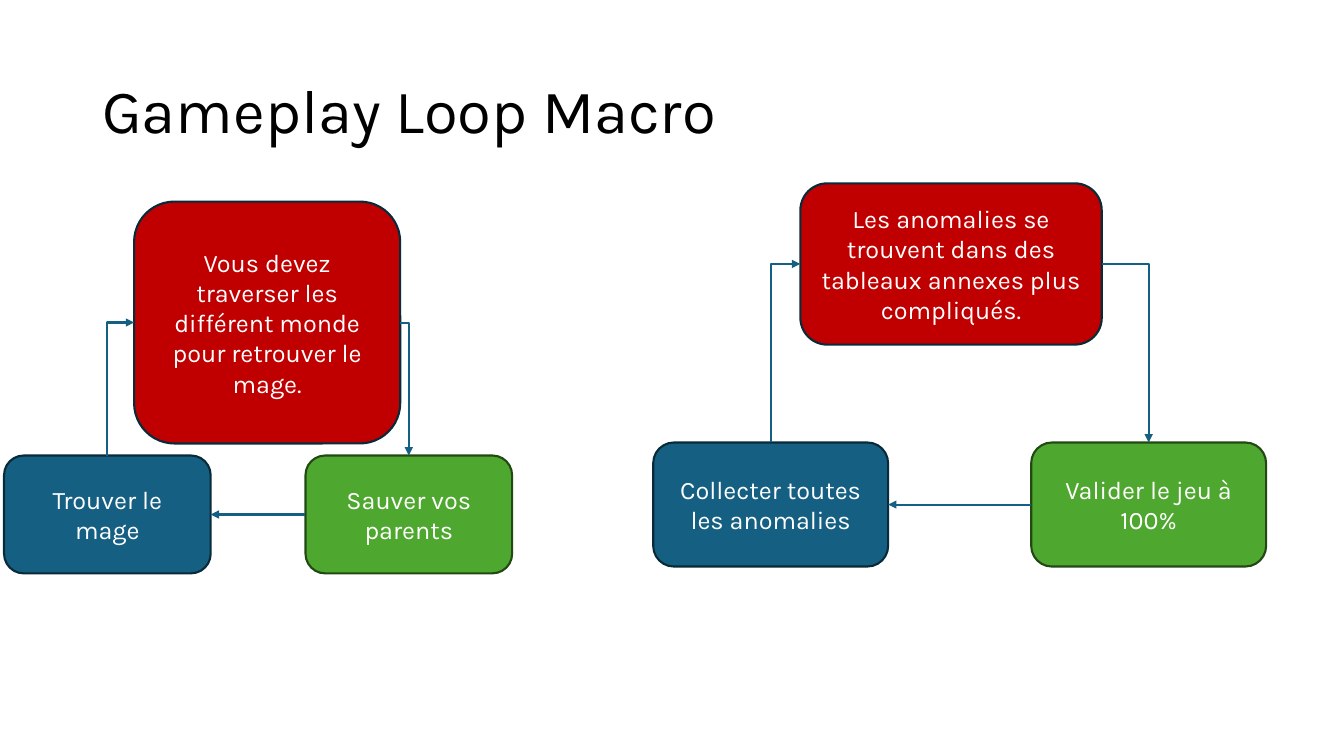
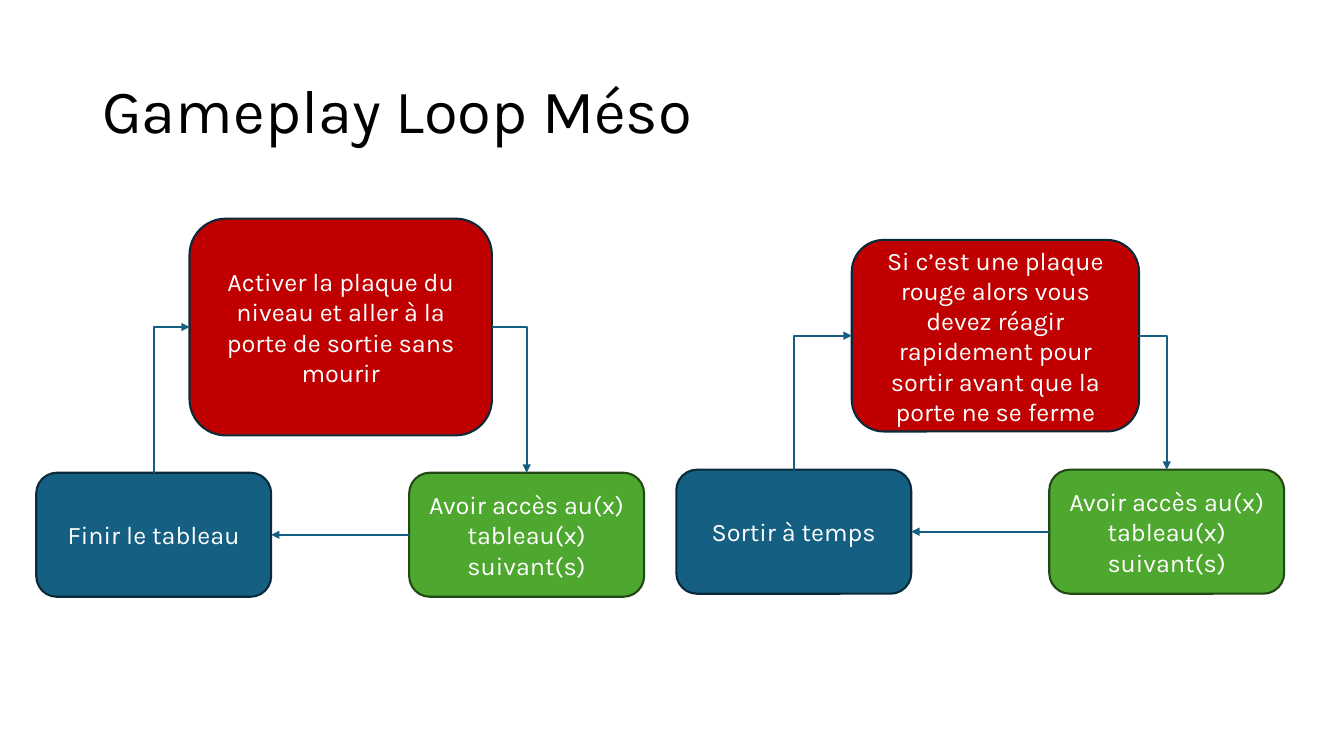
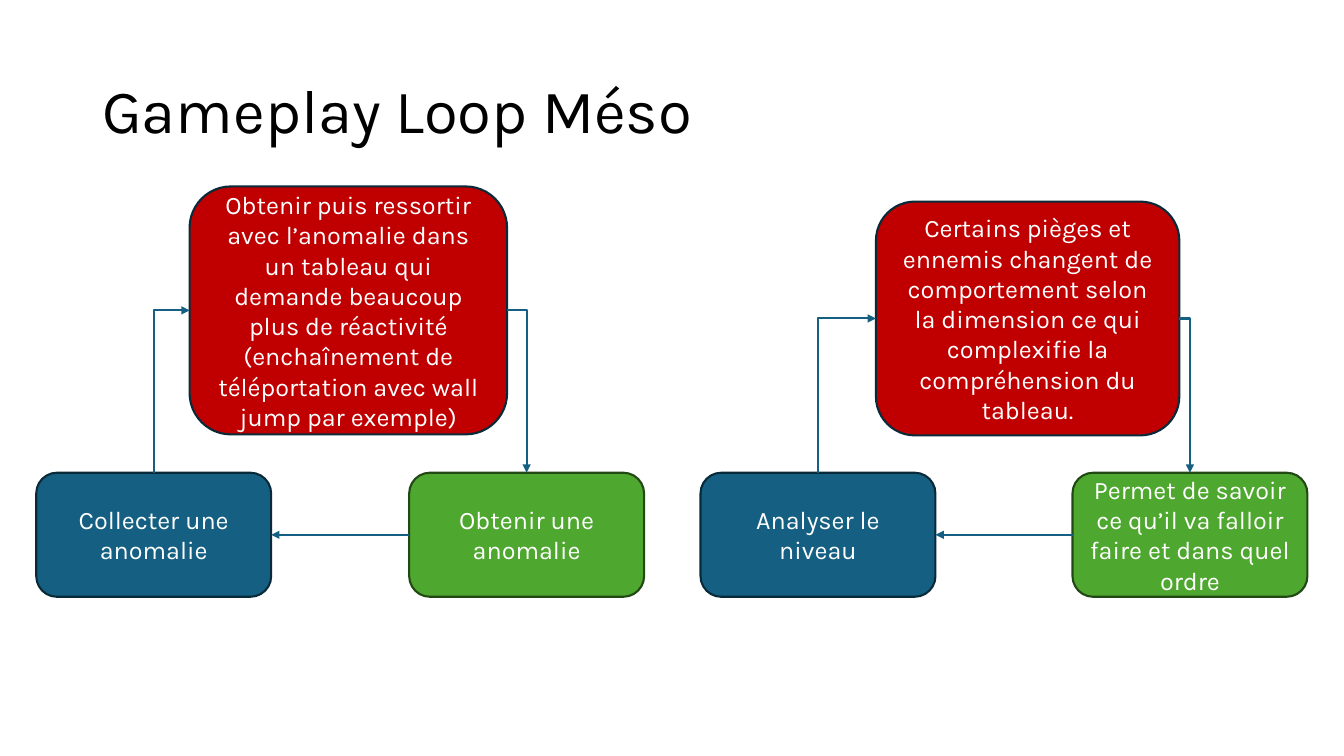
"""Build three slides of gameplay loops, each with two three-step cycles."""
from lxml import etree
from pptx import Presentation
from pptx.dml.color import RGBColor
from pptx.enum.shapes import MSO_CONNECTOR, MSO_SHAPE
from pptx.enum.text import MSO_ANCHOR, PP_ALIGN
from pptx.oxml.ns import qn
from pptx.util import Pt

ROUNDED = MSO_SHAPE.ROUNDED_RECTANGLE
STRAIGHT, ELBOW = MSO_CONNECTOR.STRAIGHT, MSO_CONNECTOR.ELBOW
MIDDLE = MSO_ANCHOR.MIDDLE
LEFT, CENTER = PP_ALIGN.LEFT, PP_ALIGN.CENTER
TOP_SITE, LEFT_SITE, RIGHT_SITE = 0, 1, 3
FONT = "Karla"
COLORS = {
    "blue": "156082", "red": "C00000", "green": "4EA72E",
    "dark_blue": "092A39", "dark_green": "224914",
    "black": "000000", "white": "FFFFFF",
}
OUTLINES = {"blue": "dark_blue", "red": "dark_blue", "green": "dark_green"}
SMALL_STEP = (147.6, 84.2)
STEP = (167.8, 88.6)

SLIDES = [
    ("Gameplay Loop Macro", [
        {"blue_left": 2.9, "green_left": 218.2, "top": 325.4, "size": SMALL_STEP,
         "red_box": (95.8, 144, 190.1, 172.8),
         "blue": "Trouver le mage",
         "red": "Vous devez traverser les différent monde pour retrouver le mage.",
         "green": "Sauver vos parents"},
        {"blue_left": 466.6, "green_left": 736.6, "top": 316.1, "size": STEP,
         "red_box": (571.7, 131, 215.3, 115.2),
         "blue": "Collecter toutes les anomalies",
         "red": "Les anomalies se trouvent dans des tableaux annexes plus compliqués.",
         "green": "Valider le jeu à 100%"},
    ]),
    ("Gameplay Loop Méso", [
        {"blue_left": 25.9, "green_left": 292.3, "top": 337.7, "size": STEP,
         "red_box": (135.4, 156.2, 216, 154.8),
         "blue": "Finir le tableau",
         "red": "Activer la plaque du niveau et aller à la porte de sortie sans mourir",
         "green": "Avoir accès au(x) tableau(x) suivant(s)"},
        {"blue_left": 483.1, "green_left": 749.5, "top": 335.5, "size": STEP,
         "red_box": (608.4, 171.4, 205.2, 136.8),
         "blue": "Sortir à temps",
         "red": "Si c’est une plaque rouge alors vous devez réagir rapidement "
                "pour sortir avant que la porte ne se ferme",
         "green": "Avoir accès au(x) tableau(x) suivant(s)"},
    ]),
    ("Gameplay Loop Méso", [
        {"blue_left": 25.9, "green_left": 292.3, "top": 337.7, "size": STEP,
         "red_box": (135.4, 133.2, 226.8, 177.1),
         "blue": "Collecter une anomalie",
         "red": "Obtenir puis ressortir avec l’anomalie dans un tableau qui demande "
                "beaucoup plus de réactivité (enchaînement de téléportation "
                "avec wall jump par exemple)",
         "green": "Obtenir une anomalie"},
        {"blue_left": 500.4, "green_left": 766.1, "top": 337.7, "size": STEP,
         "red_box": (625.7, 144, 216.7, 167),
         "blue": "Analyser le niveau",
         "red": "Certains pièges et ennemis changent de comportement selon la "
                "dimension ce qui complexifie la compréhension du tableau.",
         "green": "Permet de savoir ce qu’il va falloir faire et dans quel ordre"},
    ]),
]


def write(shape, text, size=18, color="white", align=CENTER, spacing=1.0):
    """Fill a shape with one formatted, vertically centred paragraph."""
    frame = shape.text_frame
    frame.word_wrap = True
    frame.vertical_anchor = MIDDLE
    paragraph = frame.paragraphs[0]
    paragraph.alignment = align
    paragraph.line_spacing = spacing
    run = paragraph.add_run()
    run.text = text
    run.font.name = FONT
    run.font.size = Pt(size)
    run.font.color.rgb = RGBColor.from_string(COLORS[color])


def connect(slide, kind, begin, begin_site, end, end_site):
    """Join two shapes with an arrow and return the connector."""
    connector = slide.shapes.add_connector(kind, 0, 0, 0, 0)
    connector.begin_connect(begin, begin_site)
    connector.end_connect(end, end_site)
    connector.line.color.rgb = RGBColor.from_string(COLORS["blue"])
    connector.line.width = Pt(1.5)
    properties = connector._element.spPr
    etree.SubElement(properties.find(qn("a:ln")), qn("a:tailEnd"), type="triangle")
    etree.SubElement(properties, qn("a:effectLst"))
    if kind == ELBOW:
        properties.find(qn("a:prstGeom")).set("prst", "bentConnector2")
    return connector


presentation = Presentation()
presentation.slide_width = Pt(960)
presentation.slide_height = Pt(540)
blank_layout = presentation.slide_layouts[6]

for title, cycles in SLIDES:
    slide = presentation.slides.add_slide(blank_layout)
    title_box = slide.shapes.add_textbox(Pt(66), Pt(28.8), Pt(828), Pt(104.4))
    write(title_box, title, size=44, color="black", align=LEFT, spacing=0.9)

    for cycle in cycles:
        boxes = {
            "blue": (cycle["blue_left"], cycle["top"], *cycle["size"]),
            "red": cycle["red_box"],
            "green": (cycle["green_left"], cycle["top"], *cycle["size"]),
        }
        steps = {}
        for color, box in boxes.items():
            shape = slide.shapes.add_shape(ROUNDED, *[Pt(length) for length in box])
            shape.shadow.inherit = False
            shape.fill.solid()
            shape.fill.fore_color.rgb = RGBColor.from_string(COLORS[color])
            shape.line.color.rgb = RGBColor.from_string(COLORS[OUTLINES[color]])
            shape.line.width = Pt(1.5)
            write(shape, cycle[color])
            steps[color] = shape

        rise = connect(slide, ELBOW, steps["blue"], TOP_SITE, steps["red"], LEFT_SITE)
        run_length, rise_length = rise.width, rise.height
        rise.left += (run_length - rise_length) // 2
        rise.top += (rise_length - run_length) // 2
        rise.width, rise.height = rise_length, run_length
        transform = rise._element.spPr.find(qn("a:xfrm"))
        for name, value in (("rot", "5400000"), ("flipH", "1"), ("flipV", "1")):
            transform.set(name, value)

        connect(slide, ELBOW, steps["red"], RIGHT_SITE, steps["green"], TOP_SITE)
        connect(slide, STRAIGHT, steps["green"], LEFT_SITE, steps["blue"], RIGHT_SITE)

presentation.save("out.pptx")
